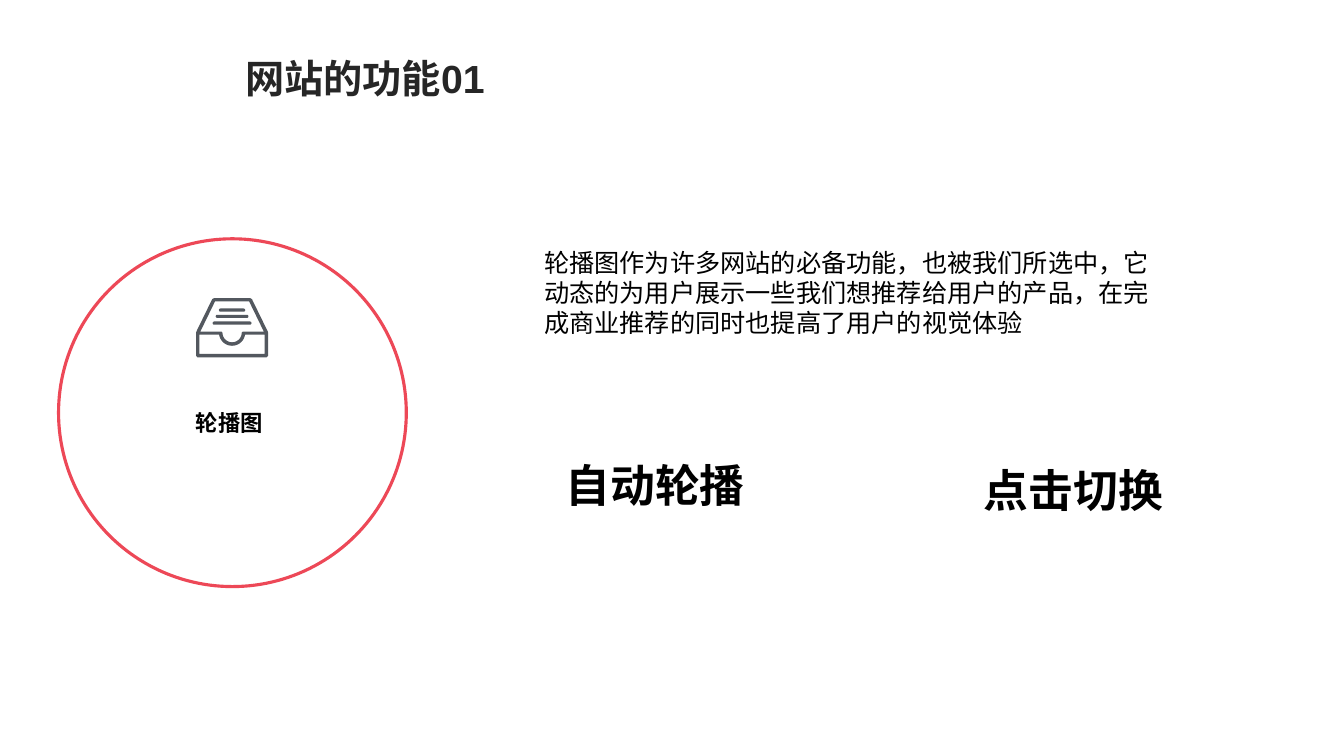
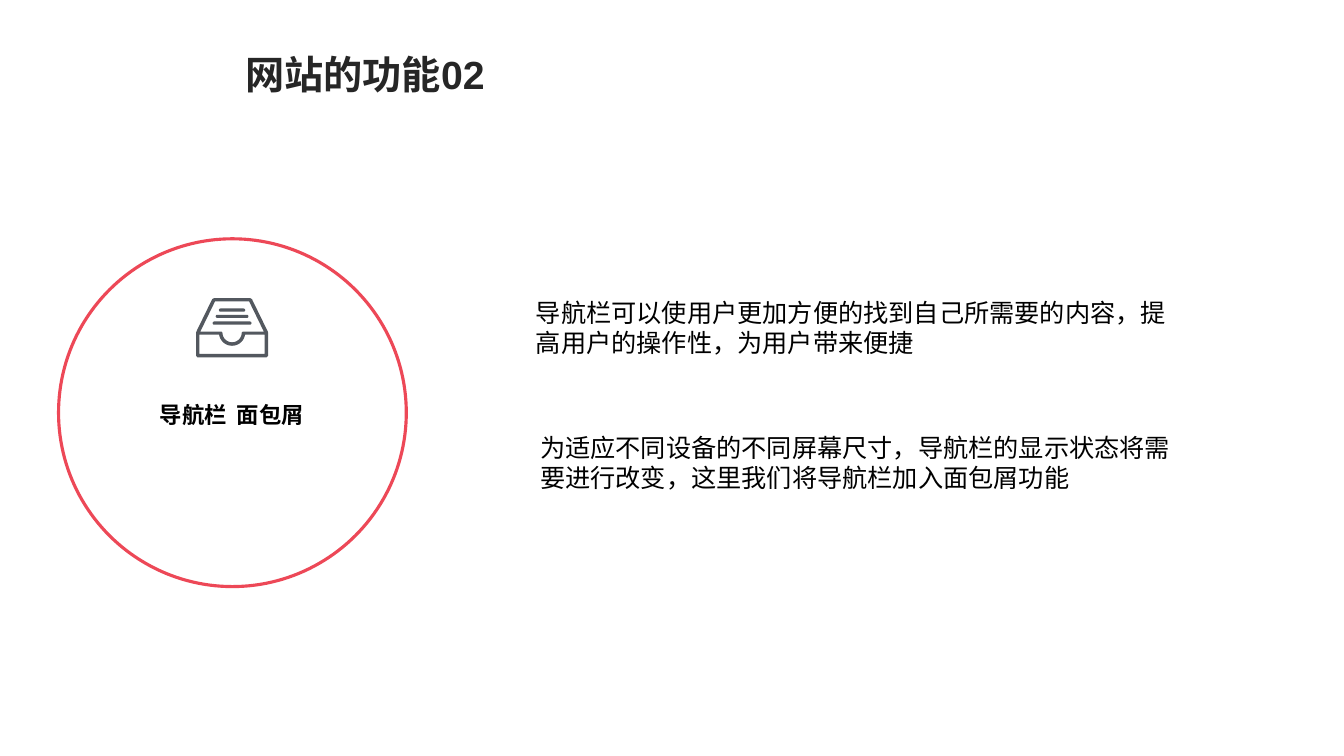
from math import cos, radians, sin

from pptx import Presentation
from pptx.dml.color import RGBColor
from pptx.enum.shapes import MSO_SHAPE
from pptx.enum.text import MSO_AUTO_SIZE, PP_ALIGN
from pptx.util import Pt

COLORS = {"title": "262626", "text": "000000", "ring": "ED4857", "icon": "53585F"}
FONT = "Arial"

# Icon geometry: each contour is its right half, as offsets from the icon's axis
ICON_AXIS = 165.8
NOTCH_Y = 237.6
BAR_RADIUS = 1.15
BARS = [(9.4, 221.5), (11.7, 226), (13.9, 230.8)]


def arc(center_x, center_y, radius, angles):
    return [(center_x + radius * cos(radians(angle)), center_y + radius * sin(radians(angle)))
            for angle in angles]


def add_text(slide, text, box, size, color="text", bold=True, align=PP_ALIGN.CENTER,
             wrap=True, spacing=None):
    text_box = slide.shapes.add_textbox(*map(Pt, box))
    frame = text_box.text_frame
    frame.word_wrap = wrap
    frame.auto_size = MSO_AUTO_SIZE.SHAPE_TO_FIT_TEXT
    paragraph = frame.paragraphs[0]
    paragraph.text = text
    paragraph.alignment = align
    paragraph.line_spacing = spacing
    paragraph.font.name = FONT
    paragraph.font.size = Pt(size)
    paragraph.font.bold = bold
    paragraph.font.color.rgb = RGBColor.from_string(COLORS[color])


outline = [(13, 213), (14.2, 213.7), (25.5, 236.8), (25.7, 237.6), (25.7, 254.2), (24.7, 255.2)]
tray = arc(0, NOTCH_Y, 9.4, range(90, 8, -9)) + [(23.3, 239), (23.3, 252.8)]
paper = [(12.2, 215.3), (22.7, 236.9), (7.6, 236.9)] + arc(0, NOTCH_Y, 6.9, range(0, 91, 9))
bars = [arc(half_width - BAR_RADIUS, y, BAR_RADIUS, range(-90, 91, 30)) for half_width, y in BARS]
icon_contours = []
for half in [outline, tray, paper, *bars]:
    whole = half + [(-x, y) for x, y in reversed(half)]
    icon_contours.append([(Pt(ICON_AXIS + x), Pt(y)) for x, y in whole])

pages = [
    {
        "title": "网站的功能01", "title_top": 35.3,
        "label": "轮播图 ", "label_top": 285,
        "bodies": [
            ("轮播图作为许多网站的必备功能，也被我们所选中，它动态的为用户展示一些我们想推荐给用户的产品，"
             "在完成商业推荐的同时也提高了用户的视觉体验", (381.6, 172.8, 463.7, 72.7)),
        ],
        "features": [
            ("自动轮播", (293, 323.3, 350, 46), True),
            ("点击切换", (695.5, 327, 142.6, 46), False),
        ],
    },
    {
        "title": "网站的功能02", "title_top": 32.4,
        "label": " 导航栏  面包屑 ", "label_top": 279.4,
        "bodies": [
            ("导航栏可以使用户更加方便的找到自己所需要的内容，提高用户的操作性，为用户带来便捷",
             (375.8, 208.8, 470.9, 51)),
            ("为适应不同设备的不同屏幕尺寸，导航栏的显示状态将需要进行改变，这里我们将导航栏加入面包屑功能",
             (378.7, 305.3, 465.1, 51)),
        ],
        "features": [],
    },
]

presentation = Presentation()
presentation.slide_width, presentation.slide_height = Pt(960), Pt(540)

for page in pages:
    slide = presentation.slides.add_slide(presentation.slide_layouts[6])

    builder = slide.shapes.build_freeform(*icon_contours[0][0], scale=1.0)
    builder.add_line_segments(icon_contours[0][1:])
    for contour in icon_contours[1:]:
        builder.move_to(*contour[0])
        builder.add_line_segments(contour[1:])
    icon = builder.convert_to_shape()
    icon.shadow.inherit = False
    icon.fill.solid()
    icon.fill.fore_color.rgb = RGBColor.from_string(COLORS["icon"])
    icon.line.fill.background()

    add_text(slide, page["title"], (167.8, page["title_top"], 185.8, 41), 28, "title")
    add_text(slide, page["label"], (77.8, page["label_top"], 175.7, 30.2), 16, spacing=1.2)

    ring = slide.shapes.add_shape(MSO_SHAPE.OVAL, Pt(41.8), Pt(170.6), Pt(248.4), Pt(248.4))
    ring.shadow.inherit = False
    ring.fill.background()
    ring.line.color.rgb = RGBColor.from_string(COLORS["ring"])
    ring.line.width = Pt(2.25)

    for text, box, wrap in page["features"]:
        add_text(slide, text, box, 32, wrap=wrap)
    for text, box in page["bodies"]:
        add_text(slide, text, box, 18, bold=False, align=PP_ALIGN.LEFT)

presentation.save("out.pptx")
